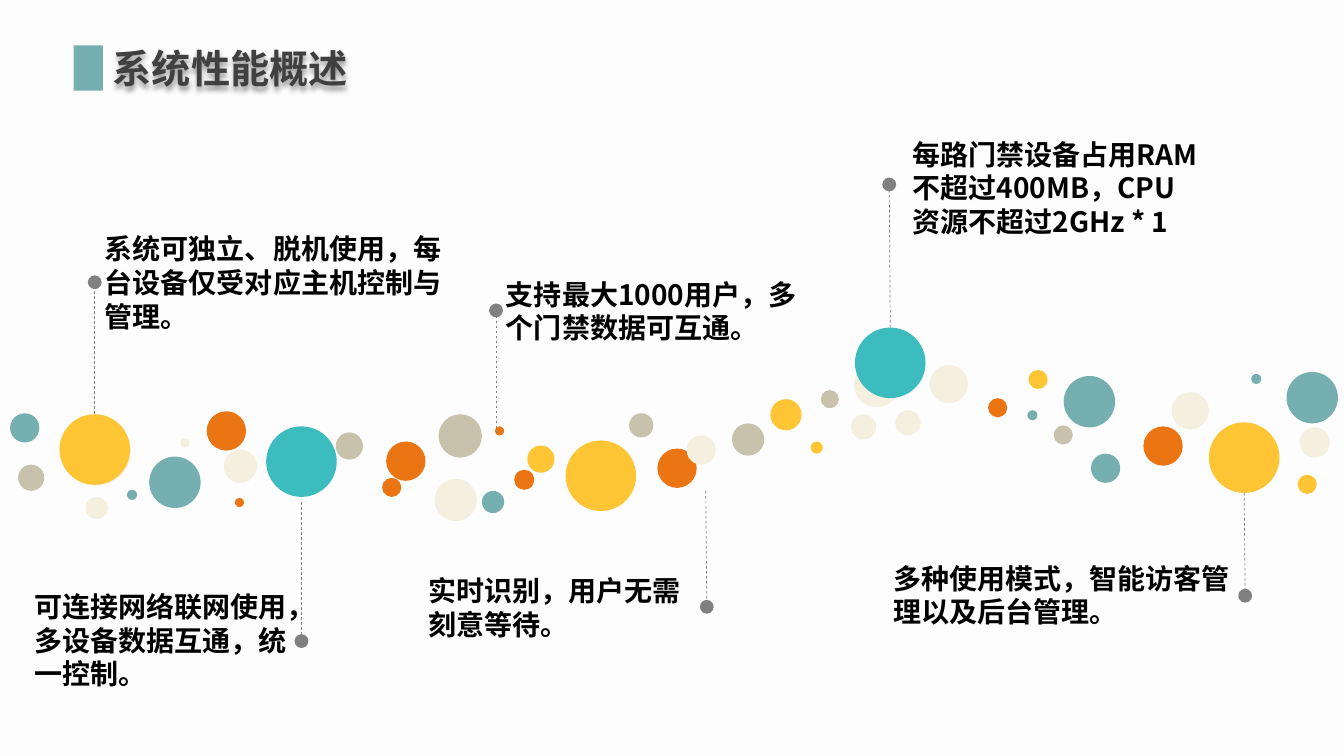
"""Build the system performance overview slide."""
from dataclasses import dataclass

from lxml import etree
from pptx import Presentation
from pptx import util as u
from pptx.dml.color import RGBColor
from pptx.enum import dml, shapes, text
from pptx.oxml import ns


@dataclass(frozen=True)
class Theme:
    """Colours, font and sizes of the slide."""
    font: str = "Noto Sans CJK SC"
    title_size: int = 28
    body_size: int = 20
    stem_width: float = 0.5
    paper: str = "FDFDFD"
    heading: str = "404040"
    ink: str = "000000"
    stem: str = "808080"
    sage: str = "76AFAF"
    teal: str = "3DBCC0"
    amber: str = "FFC535"
    orange: str = "EB7513"
    taupe: str = "C8C2AC"
    cream: str = "F4EFDF"


THEME = Theme()

BUBBLES = {
    THEME.taupe: [
        (7.26, 4.2, 0.32), (0.18, 4.61, 0.26), (4.35, 4.11, 0.43), (6.24, 4.1, 0.24),
        (8.14, 3.87, 0.18), (3.33, 4.29, 0.27), (10.45, 4.22, 0.19),
    ],
    THEME.orange: [
        (4.91, 4.23, 0.09), (2.77, 4.44, 0.09), (2.33, 4.94, 0.09), (3.79, 4.74, 0.19),
        (9.8, 3.95, 0.19), (2.05, 4.08, 0.39), (11.34, 4.23, 0.39), (3.83, 4.38, 0.39),
        (6.52, 4.45, 0.39), (5.1, 4.66, 0.2),
    ],
    THEME.sage: [
        (12.41, 3.71, 0.1), (1.26, 4.86, 0.1), (12.76, 3.69, 0.51), (4.78, 4.87, 0.22),
        (0.1, 4.1, 0.29), (10.55, 3.73, 0.51), (10.82, 4.5, 0.29), (1.48, 4.53, 0.51),
        (10.19, 4.07, 0.1),
    ],
    THEME.cream: [
        (12.89, 4.24, 0.3), (2.22, 4.46, 0.33), (8.88, 4.07, 0.25), (8.44, 4.11, 0.25),
        (11.62, 3.89, 0.37), (0.85, 4.93, 0.22), (1.79, 4.35, 0.09), (0.6, 4.12, 0.7),
        (4.31, 4.75, 0.42), (8.47, 3.59, 0.45), (9.22, 3.62, 0.38), (6.81, 4.32, 0.29),
    ],
    THEME.amber: [
        (8.04, 4.38, 0.12), (10.2, 3.67, 0.19), (8.83, 3.33, 0.27), (5.23, 4.42, 0.27),
        (7.64, 3.96, 0.31), (12.87, 4.71, 0.19), (5.61, 4.37, 0.7), (11.99, 4.19, 0.7),
        (0.59, 4.11, 0.7),
    ],
    THEME.teal: [(2.64, 4.23, 0.7), (8.48, 3.25, 0.7)],
}

NOTES = [
    ("系统可独立、脱机使用，每台设备仅受对应主机控制与管理。",
     (0.94, 2.25, 3.69, 1.11), (0.94, 4.11, 0.94, 2.8)),
    ("可连接网络联网使用，多设备数据互通，统一控制。",
     (0.24, 5.8, 2.75, 1.11), (2.99, 4.98, 2.99, 6.36)),
    ("支持最大1000用户，多个门禁数据可互通。",
     (4.92, 2.7, 3.1, 0.77), (4.92, 4.3, 4.92, 3.08)),
    ("实时识别，用户无需刻意等待。",
     (4.15, 5.64, 2.86, 0.77), (7, 4.87, 7.01, 6.02)),
    ("每路门禁设备占用RAM不超过400MB，CPU资源不超过2GHz * 1",
     (8.95, 1.31, 3.07, 1.11), (8.83, 3.25, 8.82, 1.83)),
    ("多种使用模式，智能访客管理以及后台管理。",
     (8.76, 5.52, 3.59, 0.77), (12.34, 4.89, 12.35, 5.91)),
]


def inches(values):
    """Turn plain numbers into lengths."""
    return [u.Inches(value) for value in values]


def add_filled(parent, kind, place, colour):
    """Add a flat preset shape without outline."""
    shape = parent.shapes.add_shape(kind, *inches(place))
    shape.shadow.inherit = False
    shape.fill.solid()
    shape.fill.fore_color.rgb = RGBColor.from_string(colour)
    shape.line.fill.background()


def add_text(page, words, place, size, colour, wrap=True):
    """Add a bold text box that grows with its words."""
    box = page.shapes.add_textbox(*inches(place))
    frame = box.text_frame
    frame.word_wrap = wrap
    frame.auto_size = text.MSO_AUTO_SIZE.SHAPE_TO_FIT_TEXT
    span = frame.paragraphs[0].add_run()
    span.text = words
    span.font.name = THEME.font
    span.font.size = u.Pt(size)
    span.font.bold = True
    span.font.color.rgb = RGBColor.from_string(colour)
    east_asian = etree.SubElement(span.font._element, ns.qn("a:ea"))
    east_asian.set("typeface", THEME.font)
    return box


def add_soft_shadow(box):
    """Cast a blurred shadow below the words of a box."""
    effects = etree.SubElement(box._element.spPr, ns.qn("a:effectLst"))
    shadow = etree.SubElement(effects, ns.qn("a:outerShdw"), blurRad="50800",
                              dist="38100", dir="5400000", algn="t", rotWithShape="0")
    tint = etree.SubElement(shadow, ns.qn("a:prstClr"), val="black")
    etree.SubElement(tint, ns.qn("a:alpha"), val="40000")


def add_stem(page, ends):
    """Add a dashed line that ends in a round dot."""
    stem = page.shapes.add_connector(shapes.MSO_CONNECTOR.STRAIGHT, *inches(ends))
    stem.line.color.rgb = RGBColor.from_string(THEME.stem)
    stem.line.width = u.Pt(THEME.stem_width)
    stem.line.dash_style = dml.MSO_LINE.DASH
    etree.SubElement(stem.line._get_or_add_ln(), ns.qn("a:tailEnd"),
                     type="oval", w="lg", len="lg")
    etree.SubElement(stem._element.spPr, ns.qn("a:effectLst"))


def add_title(page):
    """Add the heading and its colour block."""
    title = add_text(page, "系统性能概述", (1.02, 0.39, 2.57, 0.57),
                     THEME.title_size, THEME.heading, wrap=False)
    add_soft_shadow(title)
    add_filled(page, shapes.MSO_SHAPE.RECTANGLE, (0.73, 0.45, 0.29, 0.45), THEME.sage)


def add_bubbles(page):
    """Add the band of coloured circles as one group."""
    band = page.shapes.add_group_shape()
    for colour, circles in BUBBLES.items():
        for left, top, size in circles:
            add_filled(band, shapes.MSO_SHAPE.OVAL, (left, top, size, size), colour)


def main():
    """Build and save the deck."""
    deck = Presentation()
    deck.slide_width, deck.slide_height = inches((13.33, 7.5))
    page = deck.slides.add_slide(deck.slide_layouts[6])
    page.background.fill.solid()
    page.background.fill.fore_color.rgb = RGBColor.from_string(THEME.paper)
    add_title(page)
    add_bubbles(page)
    for words, place, ends in NOTES:
        add_stem(page, ends)
        add_text(page, words, place, THEME.body_size, THEME.ink)
    deck.save("out.pptx")


if __name__ == "__main__":
    main()
